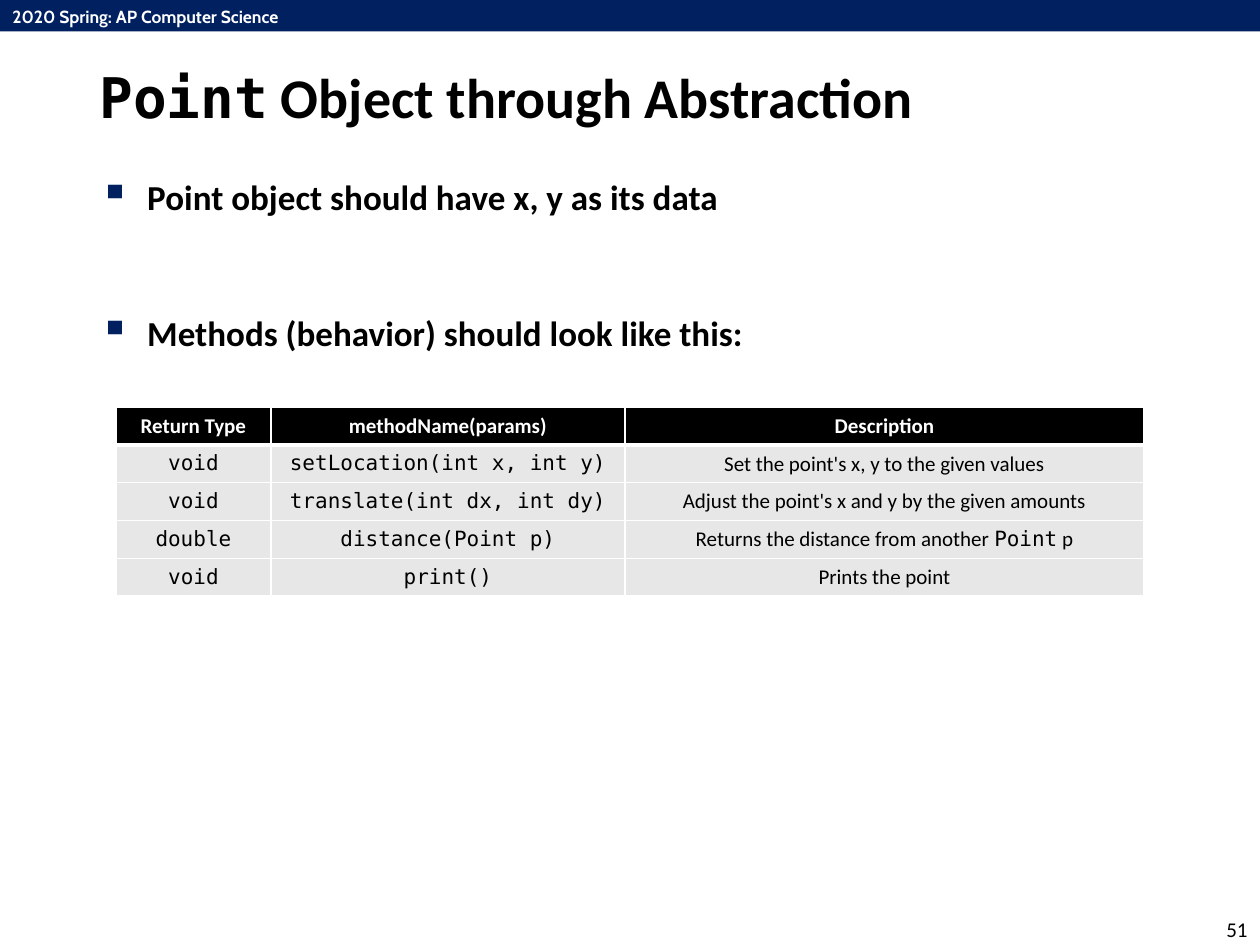
import dataclasses

import pptx
import pptx.dml.color
import pptx.enum.shapes
import pptx.enum.text
import pptx.oxml
import pptx.oxml.ns
import pptx.util

Inches = pptx.util.Inches
Pt = pptx.util.Pt
Align = pptx.enum.text.PP_ALIGN
Anchor = pptx.enum.text.MSO_ANCHOR


@dataclasses.dataclass(frozen=True)
class Theme:
    navy: str = "002060"
    black: str = "000000"
    white: str = "FFFFFF"
    gray: str = "E7E7E7"
    sans: str = "Calibri"
    mono: str = "DejaVu Sans Mono"
    brand: str = "Cabin"
    title: int = 32
    body: int = 20
    small: int = 12
    head: int = 10


theme = Theme()


def rgb(color):
    return pptx.dml.color.RGBColor.from_string(color)


def write(par, text, *, size=theme.small, font=theme.sans, color=theme.black,
          bold=False, align=Align.LEFT):
    """Add a formatted run to a paragraph."""
    par.alignment = align
    run = par.add_run()
    run.text = text
    run.font.name = font
    run.font.size = Pt(size)
    run.font.bold = bold
    run.font.color.rgb = rgb(color)


deck = pptx.Presentation()
deck.slide_width = Inches(10)
deck.slide_height = Inches(7.5)
slide = deck.slides.add_slide(deck.slide_layouts[5])
shapes = slide.shapes

# Header band
band = shapes.add_shape(pptx.enum.shapes.MSO_SHAPE.RECTANGLE,
                        0, 0, Inches(10), Inches(0.25))
band.shadow.inherit = False
band.fill.solid()
band.fill.fore_color.rgb = rgb(theme.navy)
band.line.fill.background()

course = shapes.add_textbox(0, 0, Inches(2.31), Inches(0.27)).text_frame
course.word_wrap = False
write(course.paragraphs[0], "2020 Spring: AP Computer Science",
      size=theme.head, font=theme.brand, color=theme.white, bold=True)

# Slide number
page = shapes.add_textbox(Inches(9.37), Inches(7.25),
                          Inches(0.63), Inches(0.25)).text_frame
page.word_wrap = True
page.vertical_anchor = Anchor.MIDDLE
write(page.paragraphs[0], "51", align=Align.RIGHT)

# Title
title = shapes.title
title.left, title.top = Inches(0.69), Inches(0.4)
title.width, title.height = Inches(8.62), Inches(0.73)
frame = title.text_frame
frame.auto_size = pptx.enum.text.MSO_AUTO_SIZE.NONE
frame.vertical_anchor = Anchor.MIDDLE
for text, font in (("Point", theme.mono),
                   (" Object through Abstraction", theme.sans)):
    write(frame.paragraphs[0], text, size=theme.title, font=font, bold=True)

# Bullets
body = shapes.add_textbox(Inches(0.69), Inches(1.28),
                          Inches(8.62), Inches(5.83)).text_frame
body.word_wrap = True
space = pptx.oxml.ns.nsdecls("a")
points = ["Point object should have x, y as its data",
          "Methods (behavior) should look like this:"]
for i, text in enumerate(points):
    par = body.add_paragraph() if i else body.paragraphs[0]
    props = par._p.get_or_add_pPr()
    props.set("marL", str(Inches(0.38)))
    props.set("indent", str(-Inches(0.38)))
    for xml in (f'<a:buClr {space}><a:srgbClr val="{theme.navy}"/></a:buClr>',
                f'<a:buSzPct {space} val="120000"/>',
                f'<a:buChar {space} char="▪"/>'):
        props.append(pptx.oxml.parse_xml(xml))
    par.line_spacing = 1.2
    if i:
        par.space_before = Pt(49)
    write(par, text, size=theme.body, bold=True)

# Method table; a cell is a list of (text, font) runs
heads = ["Return Type", "methodName(params)", "Description"]
rows = [[[(text, theme.sans)] for text in heads]]
for kind, call, note in (
    ("void", "setLocation(int x, int y)",
     [("Set the point's x, y to the given values", theme.sans)]),
    ("void", "translate(int dx, int dy)",
     [("Adjust the point's x and y by the given amounts", theme.sans)]),
    ("double", "distance(Point p)",
     [("Returns the distance from another ", theme.sans),
      ("Point", theme.mono), (" p", theme.sans)]),
    ("void", "print()", [("Prints the point", theme.sans)]),
):
    rows.append([[(kind, theme.mono)], [(call, theme.mono)], note])

table = shapes.add_table(len(rows), len(heads), Inches(0.92), Inches(3.23),
                         Inches(8.16), Inches(1.5)).table
table.horz_banding = False
for col, width in zip(table.columns, (1.23, 2.81, 4.12)):
    col.width = Inches(width)
for r, row in enumerate(rows):
    table.rows[r].height = Inches(0.3 if r else 0.29)
    for c, runs in enumerate(row):
        cell = table.cell(r, c)
        props = cell._tc.get_or_add_tcPr()
        for side in "LRTB":
            thick = (side, r) in (("B", 0), ("T", 1))
            props.append(pptx.oxml.parse_xml(
                f'<a:ln{side} {space} w="{Pt(3 if thick else 1)}"><a:solidFill>'
                f'<a:srgbClr val="{theme.white}"/></a:solidFill></a:ln{side}>'))
        cell.fill.solid()
        cell.fill.fore_color.rgb = rgb(theme.gray if r else theme.black)
        for text, font in runs:
            write(cell.text_frame.paragraphs[0], text, font=font, bold=r == 0,
                  color=theme.black if r else theme.white, align=Align.CENTER)

deck.save("out.pptx")
